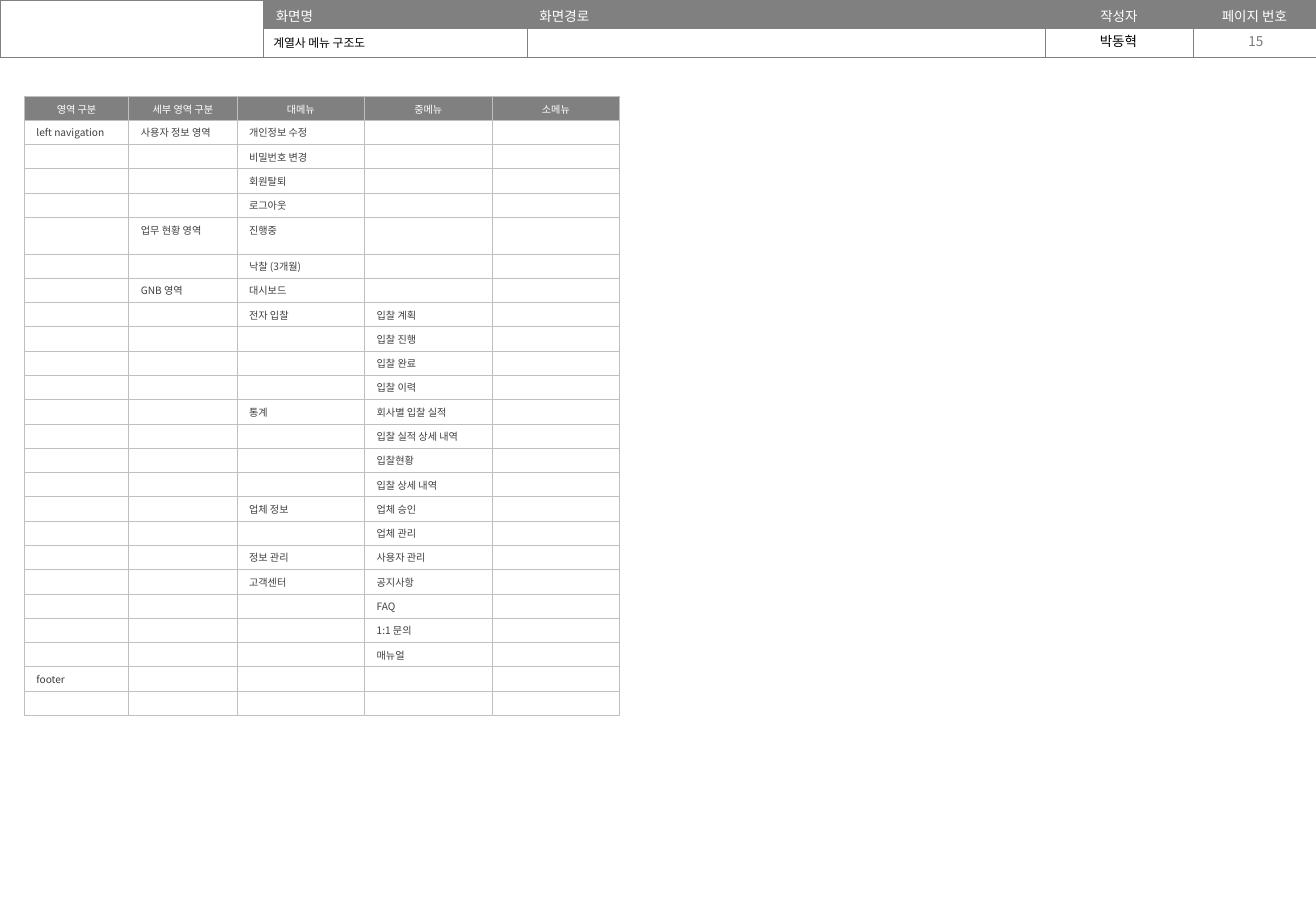
from pptx import Presentation
from pptx.dml.color import RGBColor
from pptx.enum import text
from pptx.oxml import xmlchemy
from pptx.util import Inches, Pt

COLORS = {
    "white": "FFFFFF",
    "black": "000000",
    "band": "808080",
    "grid": "BFBFBF",
    "body": "404040",
    "number": "797979",
}
KOREAN = "Noto Sans CJK KR"
CENTER = text.PP_ALIGN.CENTER
LEFT = text.PP_ALIGN.LEFT
MIDDLE = text.MSO_ANCHOR.MIDDLE
TOP = text.MSO_ANCHOR.TOP

HEADER_COLUMNS = [2.17, 2.17, 4.26, 1.22, 1.01]
HEADER_LABELS = ["", "화면명", "화면경로", "작성자", "페이지 번호"]
HEADER_ROWS = [0.23, 0.24]

MENU_COLUMNS = [0.86, 0.89, 1.05, 1.05, 1.05]
MENU_LABELS = ["영역 구분", "세부 영역 구분", "대메뉴", "중메뉴", "소메뉴"]
MENU_ROWS = [
    ("left navigation", "사용자 정보 영역", "개인정보 수정", ""),
    ("", "", "비밀번호 변경", ""),
    ("", "", "회원탈퇴", ""),
    ("", "", "로그아웃", ""),
    ("", "업무 현황 영역", "진행중", ""),
    ("", "", "낙찰 (3개월)", ""),
    ("", "GNB 영역", "대시보드", ""),
    ("", "", "전자 입찰", "입찰 계획"),
    ("", "", "", "입찰 진행"),
    ("", "", "", "입찰 완료"),
    ("", "", "", "입찰 이력"),
    ("", "", "통계", "회사별 입찰 실적"),
    ("", "", "", "입찰 실적 상세 내역"),
    ("", "", "", "입찰현황"),
    ("", "", "", "입찰 상세 내역"),
    ("", "", "업체 정보", "업체 승인"),
    ("", "", "", "업체 관리"),
    ("", "", "정보 관리", "사용자 관리"),
    ("", "", "고객센터", "공지사항"),
    ("", "", "", "FAQ"),
    ("", "", "", "1:1 문의"),
    ("", "", "", "매뉴얼"),
    ("footer", "", "", ""),
    ("", "", "", ""),
]


def rgb(name):
    return RGBColor.from_string(COLORS[name])


def add_element(parent, tag, **attributes):
    child = xmlchemy.OxmlElement(tag)
    for key, value in attributes.items():
        child.set(key, str(value))
    parent.append(child)
    return child


def write(para, words, size, color, align=LEFT, face=KOREAN):
    para.alignment = align
    if words:
        para.add_run().text = words
    else:
        add_element(para._p, "a:endParaRPr", sz=size * 100)
    font = para.font
    font.size = Pt(size)
    font.name = face
    font.bold = False
    font.color.rgb = rgb(color)
    add_element(font._element, "a:ea", typeface=KOREAN)


def add_grid(page, left, top, columns, rows):
    frame = page.shapes.add_table(len(rows), len(columns), Inches(left), Inches(top),
                                  Inches(sum(columns)), Inches(sum(rows)))
    table = frame.table
    table.first_row = False
    table.horz_banding = False
    for column, width in zip(table.columns, columns):
        column.width = Inches(width)
    for row, height in zip(table.rows, rows):
        row.height = Inches(height)
    return table


def style_cell(cell, fill, border, weight, top, bottom, anchor=TOP):
    properties = cell._tc.get_or_add_tcPr()
    for side in ("a:lnL", "a:lnR", "a:lnT", "a:lnB"):
        line = add_element(properties, side, w=Pt(weight))
        solid = add_element(line, "a:solidFill")
        add_element(solid, "a:srgbClr", val=COLORS[border])
    if fill:
        cell.fill.solid()
        cell.fill.fore_color.rgb = rgb(fill)
    else:
        cell.fill.background()
    cell.margin_top = Inches(top)
    cell.margin_bottom = Inches(bottom)
    cell.vertical_anchor = anchor


def place_text(box, words, size, color, align=LEFT, anchor=TOP, face=KOREAN):
    frame = box.text_frame
    frame.word_wrap = True
    frame.auto_size = text.MSO_AUTO_SIZE.NONE
    frame.vertical_anchor = anchor
    write(frame.paragraphs[0], words, size, color, align, face)


def add_header(page, left, top):
    table = add_grid(page, left, top, HEADER_COLUMNS, HEADER_ROWS)
    for row in range(len(HEADER_ROWS)):
        for column, label in enumerate(HEADER_LABELS):
            cell = table.cell(row, column)
            is_label = row == 0 and column > 0
            style_cell(cell, "band" if is_label else None, "band", 0.25, 0.05, 0.02)
            write(cell.text_frame.paragraphs[0], label if is_label else "", 8, "white",
                  CENTER if column > 2 else LEFT)
    table.cell(0, 0).merge(table.cell(1, 0))

    title = page.shapes.title
    title.left, title.top = Inches(left + 2.15), Inches(top + 0.24)
    title.width, title.height = Inches(2.22), Inches(0.22)
    place_text(title, "계열사 메뉴 구조도", 7, "black", anchor=MIDDLE, face="Roboto")

    for offset, width, words, color, anchor in (
        (8.59, 1.23, "박동혁", "black", TOP),
        (9.83, 1.01, "15", "number", MIDDLE),
    ):
        box = page.shapes.add_textbox(Inches(left + offset), Inches(top + 0.22),
                                      Inches(width), Inches(0.24))
        place_text(box, words, 8, color, CENTER, anchor)


def add_menu_table(page, left, top):
    heights = [0.2] + [0.3 if entry[2] == "진행중" else 0.2 for entry in MENU_ROWS]
    table = add_grid(page, left, top, MENU_COLUMNS, heights)
    for column, label in enumerate(MENU_LABELS):
        cell = table.cell(0, column)
        style_cell(cell, "band", "grid", 0.5, 0.04, 0.03, MIDDLE)
        write(cell.text_frame.paragraphs[0], label, 6, "white", CENTER)
    for row, entry in enumerate(MENU_ROWS, 1):
        for column, words in enumerate(entry + ("",)):
            cell = table.cell(row, column)
            style_cell(cell, "white", "grid", 0.5, 0.04, 0.03)
            write(cell.text_frame.paragraphs[0], words, 6, "body")


def main():
    deck = Presentation()
    deck.slide_width, deck.slide_height = Inches(10.83), Inches(7.5)
    page = deck.slides.add_slide(deck.slide_layouts.get_by_name("Title Only"))
    add_header(page, 0, 0)
    add_menu_table(page, 0.2, 0.79)
    deck.save("out.pptx")


if __name__ == "__main__":
    main()
